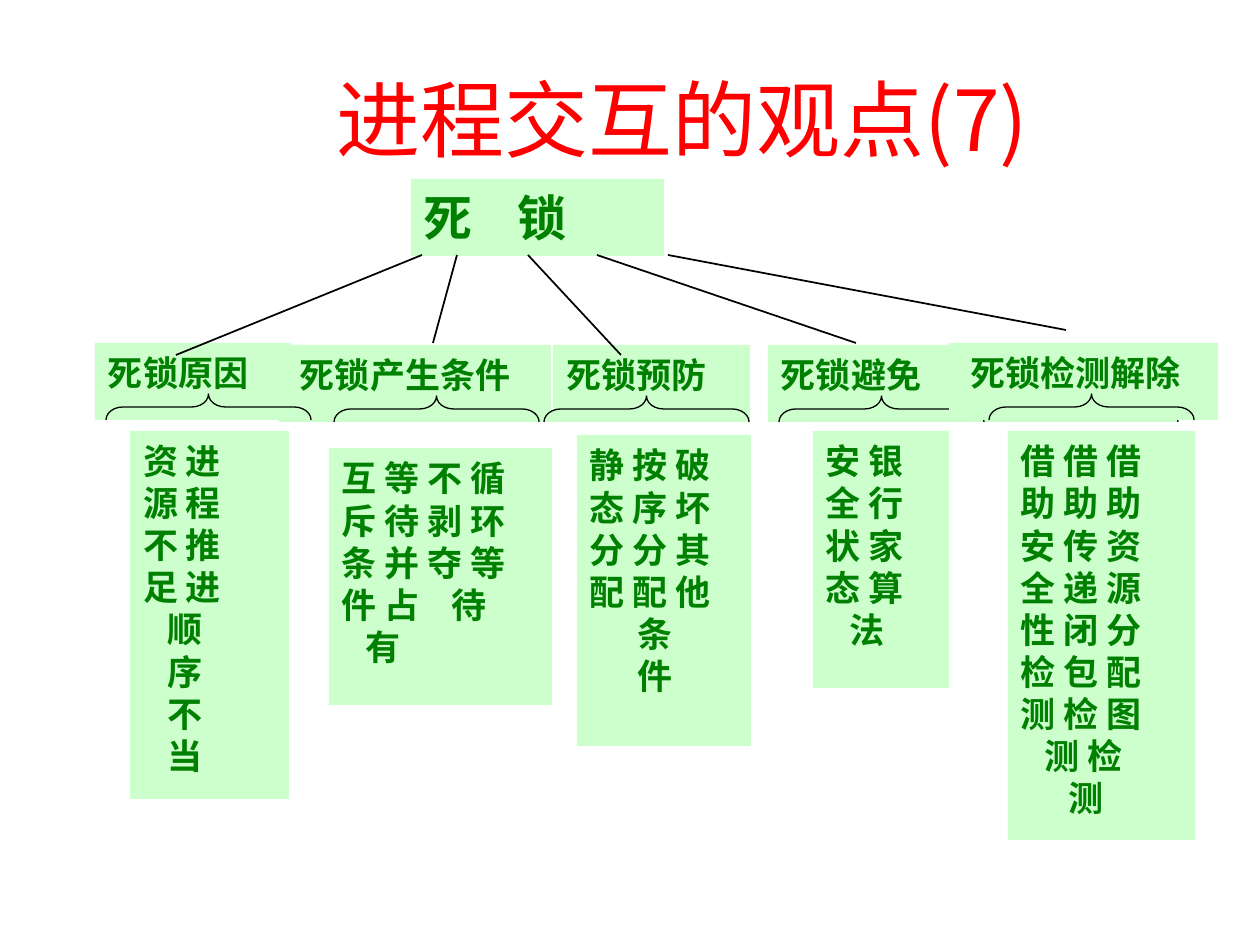
from dataclasses import dataclass

from lxml import etree
from pptx import Presentation
from pptx.dml.color import RGBColor
from pptx.enum.shapes import MSO_CONNECTOR, MSO_SHAPE
from pptx.enum.text import MSO_ANCHOR, PP_ALIGN
from pptx.oxml.ns import qn
from pptx.util import Emu, Pt

RECTANGLE = MSO_SHAPE.RECTANGLE
LEFT_BRACE = MSO_SHAPE.LEFT_BRACE
STRAIGHT = MSO_CONNECTOR.STRAIGHT
TOP = MSO_ANCHOR.TOP
LEFT, CENTER, JUSTIFY = PP_ALIGN.LEFT, PP_ALIGN.CENTER, PP_ALIGN.JUSTIFY


@dataclass(frozen=True)
class Theme:
    font: str = "Noto Sans CJK SC"
    red: RGBColor = RGBColor(0xFF, 0x00, 0x00)
    green: RGBColor = RGBColor(0x00, 0x80, 0x00)
    pale: RGBColor = RGBColor(0xCC, 0xFF, 0xCC)
    black: RGBColor = RGBColor(0x00, 0x00, 0x00)
    title_size: int = 48
    root_size: int = 28
    body_size: int = 20
    line_height: float = 1.2


THEME = Theme()
INSET = 13
INDENT = 8  # one indent step
BRACE_WIDTH, BRACE_HEIGHT, BRACE_DROP = 205, 26, 51
ROOT_BOX = (411, 179, 253, 77)

# label box, label indent, body box, body rows as (indent steps, text),
# brace left, body alignment
BRANCHES = [
    ((279, 345, 272, 77), 1, "死锁产生条件", (329, 448, 223, 257),
     [(0, "互 等 不 循"), (0, "斥 待 剥 环"), (0, "条 并 夺 等"),
      (0, "件 占\t待"), (3, "有")], 334, JUSTIFY),
    ((553, 345, 197, 77), 0, "死锁预防", (577, 435, 174, 311),
     [(0, "静 按 破"), (0, "态 序 坏"), (0, "分 分 其"), (0, "配 配 他"),
      (6, "条"), (6, "件")], 544, LEFT),
    ((768, 345, 239, 77), 0, "死锁避免", (813, 431, 136, 257),
     [(0, "安 银"), (0, "全 行"), (0, "状 家"), (0, "态 算"), (3, "法")],
     779, LEFT),
    ((949, 343, 269, 77), 1, "死锁检测解除", (1008, 431, 187, 409),
     [(0, "借 借 借"), (0, "助 助 助"), (0, "安 传 资"), (0, "全 递 源"),
      (0, "性 闭 分"), (0, "检 包 配"), (0, "测 检 图"), (3, "测 检"),
      (6, "测")], 989, LEFT),
    ((95, 343, 196, 77), 0, "死锁原因", (130, 431, 159, 368),
     [(0, "资 进"), (0, "源 程"), (0, "不 推"), (0, "足 进"), (3, "顺"),
      (3, "序"), (3, "不"), (3, "当")], 106, LEFT),
]

# start offset from the root's left side, then the end point
ROOT_LINES = [(11, 176, 355), (257, 1066, 330), (46, 433, 343),
              (186, 856, 343), (117, 621, 355)]


def px(value):
    return Emu(round(value * 914400 / 126))


def write_text(shape, rows, *, size, color, bold=True, align=LEFT,
               top_margin=9, tab=None):
    """Write rows of (indent steps, text) into a shape."""
    frame = shape.text_frame
    frame.word_wrap = True
    frame.vertical_anchor = TOP
    frame.margin_left = frame.margin_right = px(INSET)
    frame.margin_top, frame.margin_bottom = px(top_margin), 0
    for index, (steps, text) in enumerate(rows):
        para = frame.add_paragraph() if index else frame.paragraphs[0]
        para.alignment = align
        para.line_spacing = Pt(size * THEME.line_height)
        properties = para._p.get_or_add_pPr()
        if steps:
            properties.set("marL", str(px(steps * INDENT)))
            properties.set("indent", "0")
        if "\t" in text:
            stops = etree.SubElement(properties, qn("a:tabLst"))
            etree.SubElement(stops, qn("a:tab"), pos=str(px(tab)), algn="l")
        for part_index, part in enumerate(text.split("\t")):
            span = para.add_run()
            span.text = "\t" + part if part_index else part
            span.font.name = THEME.font
            span.font.size = Pt(size)
            span.font.bold = bold
            span.font.color.rgb = color
            etree.SubElement(span._r.get_or_add_rPr(), qn("a:ea"),
                             typeface=THEME.font)


def add_panel(page, box, rows, **text_format):
    panel = page.shapes.add_shape(RECTANGLE, *map(px, box))
    panel.shadow.inherit = False
    panel.fill.solid()
    panel.fill.fore_color.rgb = THEME.pale
    panel.line.fill.background()
    write_text(panel, rows, color=THEME.green, **text_format)


def add_brace(page, left, top):
    """Turn a left brace so that its point faces up."""
    shift = (BRACE_WIDTH - BRACE_HEIGHT) / 2
    brace = page.shapes.add_shape(
        LEFT_BRACE, px(left + shift), px(top - shift),
        px(BRACE_HEIGHT), px(BRACE_WIDTH))
    brace.rotation = 90
    brace.adjustments[0] = 0.65
    brace.shadow.inherit = False
    brace.fill.solid()
    brace.fill.fore_color.rgb = THEME.pale
    brace.line.color.rgb = THEME.black
    brace.line.width = Pt(0.75)


def add_title(page, box):
    title = page.shapes.add_textbox(*map(px, box))
    write_text(title, [(0, "进程交互的观点(7)")], size=THEME.title_size,
               color=THEME.red, bold=False, align=CENTER, top_margin=68)


def add_branch(page, branch):
    label_box, steps, label, body_box, rows, brace_left, align = branch
    add_panel(page, label_box, [(steps, label)], size=THEME.body_size)
    add_panel(page, body_box, rows, size=THEME.body_size, align=align, tab=110)
    add_brace(page, brace_left, label_box[1] + BRACE_DROP)


def add_root_lines(page, box):
    left, top, _, height = box
    for offset, end_x, end_y in ROOT_LINES:
        line = page.shapes.add_connector(
            STRAIGHT, px(left + offset), px(top + height - 1),
            px(end_x), px(end_y))
        line.line.color.rgb = THEME.black
        line.line.width = Pt(1)
        etree.SubElement(line._element.spPr, qn("a:effectLst"))


def main():
    deck = Presentation()
    deck.slide_width, deck.slide_height = px(1260), px(945)
    page = deck.slides.add_slide(deck.slide_layouts[6])

    # Title and root of the tree
    add_title(page, (147, 0, 1071, 169))
    add_panel(page, ROOT_BOX, [(0, "死\t锁")], size=THEME.root_size,
              align=JUSTIFY, tab=94)

    # Second brace behind the detection label
    add_brace(page, 973, 396)

    # Branches, then the lines on top of them
    for branch in BRANCHES:
        add_branch(page, branch)
    add_root_lines(page, ROOT_BOX)

    deck.save("out.pptx")


if __name__ == "__main__":
    main()
